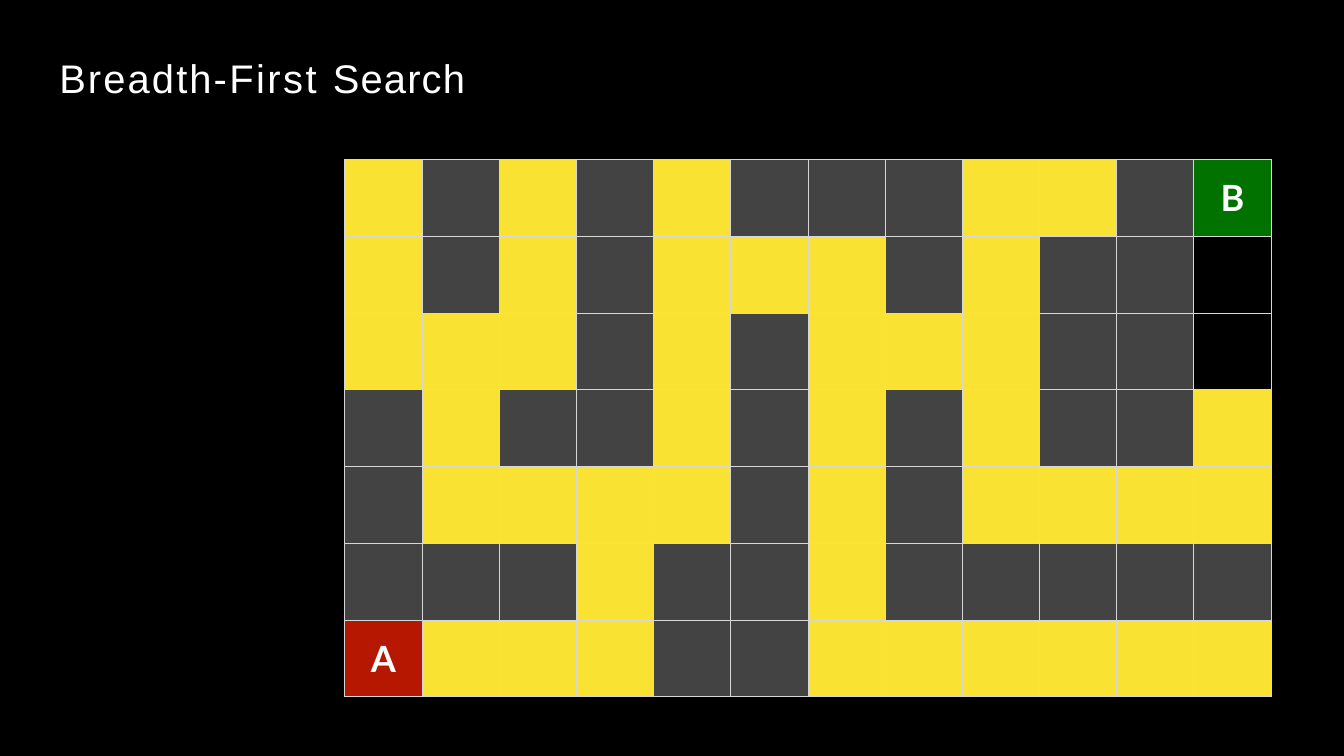
from lxml.etree import SubElement
from pptx import Presentation
from pptx.dml.color import RGBColor
from pptx.enum.text import MSO_ANCHOR, MSO_AUTO_SIZE, PP_ALIGN
from pptx.oxml.ns import qn
from pptx.util import Inches, Pt

COLORS = {
    "background": "000000",
    "text": "FFFFFF",
    "grid": "D6D7D6",
    "wall": "434343",
    "explored": "FAE232",
    "start": "B51700",
    "goal": "017100",
}
CELL_KINDS = {"#": "wall", "o": "explored", "A": "start", "B": "goal", " ": "background"}
LETTER_SPACING = {"A": 4.2, "B": 1.2}
MAZE = [
    "o#o#o###oo#B",
    "o#o#ooo#o## ",
    "ooo#o#ooo## ",
    "#o##o#o#o##o",
    "#oooo#o#oooo",
    "###o##o#####",
    "Aooo##oooooo",
]
TITLE_RUNS = [("Breadth-", 2.5), ("First ", 2.9), ("Search", 1.4)]


def color(name):
    return RGBColor.from_string(COLORS[name])


def apply(target, formats):
    for attribute, value in formats.items():
        setattr(target, attribute, value)


class SearchSlide:
    title_font = {"name": "Arial", "size": Pt(47), "bold": False}
    letter_font = {"name": "Lato", "size": Pt(42.5), "bold": True}

    def __init__(self, presentation):
        self.slide = presentation.slides.add_slide(presentation.slide_layouts[5])
        backdrop = self.slide.background.fill
        backdrop.solid()
        backdrop.fore_color.rgb = color("background")

    def add_run(self, paragraph, text, spacing, font):
        run = paragraph.add_run()
        run.text = text
        apply(run.font, font)
        run.font.color.rgb = color("text")
        run._r.get_or_add_rPr().set("spc", str(round(spacing * 100)))

    def add_title(self, runs, left, top, width, height):
        title = self.slide.shapes.title
        apply(title, {"left": left, "top": top, "width": width, "height": height})
        apply(title.text_frame, {
            "margin_left": Inches(0.29),
            "margin_top": Inches(0.44),
            "margin_right": 0,
            "margin_bottom": 0,
            "vertical_anchor": MSO_ANCHOR.TOP,
            "auto_size": MSO_AUTO_SIZE.NONE,
            "word_wrap": True,
        })
        heading = title.text_frame.paragraphs[0]
        heading.alignment = PP_ALIGN.LEFT
        for text, spacing in runs:
            self.add_run(heading, text, spacing, self.title_font)

    def add_borders(self, cell):
        properties = cell._tc.get_or_add_tcPr()
        for side in ("lnL", "lnR", "lnT", "lnB"):
            line = SubElement(properties, qn(f"a:{side}"), w=str(Pt(1)))
            fill = SubElement(line, qn("a:solidFill"))
            SubElement(fill, qn("a:srgbClr"), val=COLORS["grid"])

    def add_maze(self, maze, left, top, width, height):
        grid = self.slide.shapes.add_table(
            len(maze), len(maze[0]), left, top, width, height
        ).table
        apply(grid, {"first_row": False, "horz_banding": False})
        for row, symbols in enumerate(maze):
            for column, symbol in enumerate(symbols):
                self.fill_cell(grid.cell(row, column), symbol)

    def fill_cell(self, cell, symbol):
        self.add_borders(cell)
        cell.fill.solid()
        cell.fill.fore_color.rgb = color(CELL_KINDS[symbol])
        apply(cell, {
            "margin_left": 0,
            "margin_top": 0,
            "margin_right": 0,
            "margin_bottom": 0,
            "vertical_anchor": MSO_ANCHOR.MIDDLE,
        })
        if symbol in LETTER_SPACING:
            label = cell.text_frame.paragraphs[0]
            label.alignment = PP_ALIGN.CENTER
            self.add_run(label, symbol, LETTER_SPACING[symbol], self.letter_font)


def main():
    presentation = Presentation()
    apply(presentation, {"slide_width": Inches(21.99), "slide_height": Inches(12.37)})
    search = SearchSlide(presentation)
    search.add_maze(MAZE, Inches(5.64), Inches(2.61), Inches(15.16), Inches(8.79))
    search.add_title(TITLE_RUNS, Inches(0.68), Inches(0.43), Inches(12.93), Inches(1.78))
    presentation.save("out.pptx")


if __name__ == "__main__":
    main()
